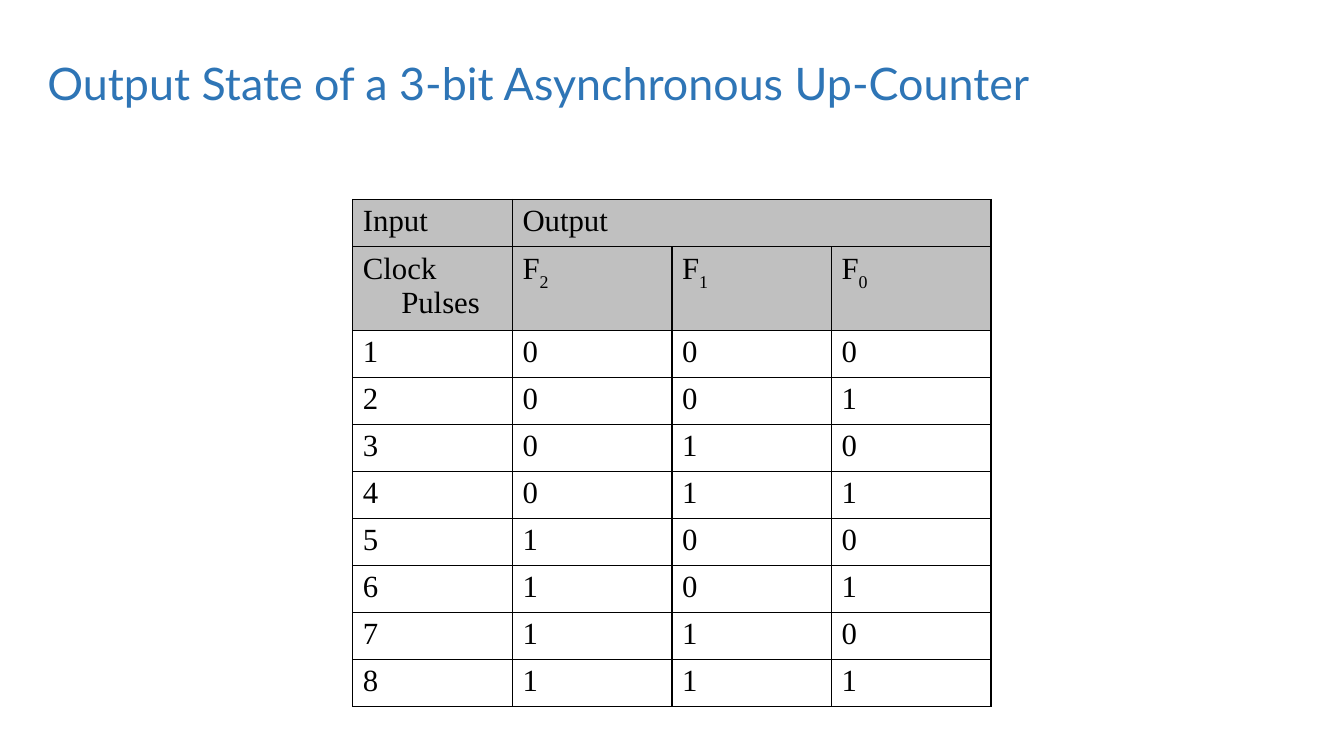
import pptx
import pptx.dml.color
import pptx.enum.text
import pptx.oxml
import pptx.oxml.ns
import pptx.util
from pptx.util import Inches

BLACK, HEADER_GREY, TITLE_BLUE = "000000", "C0C0C0", "2E75B6"
BITS = 3


def rgb(hex_colour):
    return pptx.dml.color.RGBColor.from_string(hex_colour)


def style_font(font, name, size, colour):
    font.name = name
    font.size = pptx.util.Pt(size)
    font.color.rgb = rgb(colour)


def add_title(slide, text, left, top, width, height):
    title = slide.shapes.title
    title.left, title.top = Inches(left), Inches(top)
    title.width, title.height = Inches(width), Inches(height)
    frame = title.text_frame
    frame.text = text
    frame.word_wrap = True
    frame.auto_size = pptx.enum.text.MSO_AUTO_SIZE.NONE
    frame.vertical_anchor = pptx.enum.text.MSO_ANCHOR.MIDDLE
    frame.paragraphs[0].alignment = pptx.enum.text.PP_ALIGN.LEFT
    style_font(frame.paragraphs[0].runs[0].font, "Lato", 32, TITLE_BLUE)


def add_borders(cell):
    properties = cell._tc.get_or_add_tcPr()
    for side in ("lnL", "lnR", "lnT", "lnB"):
        properties.append(pptx.oxml.parse_xml(
            f'<a:{side} {pptx.oxml.ns.nsdecls("a")} w="12700"><a:solidFill>'
            f'<a:srgbClr val="{BLACK}"/></a:solidFill></a:{side}>'))


def fill_cell(cell, text, subscript, is_header):
    # Borders come before the fill in the cell properties
    add_borders(cell)
    if is_header:
        cell.fill.solid()
        cell.fill.fore_color.rgb = rgb(HEADER_GREY)
    else:
        cell.fill.background()

    # Hanging indent: a wrapped second line starts further right
    paragraph = cell.text_frame.paragraphs[0]
    paragraph.text = text
    paragraph.alignment = pptx.enum.text.PP_ALIGN.JUSTIFY
    indent = paragraph._p.get_or_add_pPr()
    indent.set("marL", str(Inches(0.38)))
    indent.set("indent", str(Inches(-0.38)))
    if subscript:
        index = paragraph.add_run()
        index.text = subscript
        index._r.get_or_add_rPr().set("baseline", "-30000")
    for run in paragraph.runs:
        style_font(run.font, "Times New Roman", 22, BLACK)


def add_state_table(slide, left, top, width, height):
    # Each entry is a text and its subscript
    headers = [
        [("Input", ""), ("Output", "")] + [("", "")] * (BITS - 1),
        [("Clock Pulses", "")] + [("F", str(bit)) for bit in reversed(range(BITS))],
    ]
    states = [[(str(state + 1), "")] + [(bit, "") for bit in f"{state:0{BITS}b}"]
              for state in range(2 ** BITS)]
    rows = headers + states

    table = slide.shapes.add_table(
        len(rows), BITS + 1, Inches(left), Inches(top), Inches(width), Inches(height)).table
    table.first_row = table.horz_banding = False
    for column in table.columns:
        column.width = Inches(width / (BITS + 1))
    pulses_height = 0.83
    for number, row in enumerate(table.rows):
        row.height = Inches(pulses_height if number == 1
                            else (height - pulses_height) / (len(rows) - 1))

    for row_number, entries in enumerate(rows):
        for column_number, (text, subscript) in enumerate(entries):
            fill_cell(table.cell(row_number, column_number), text, subscript,
                      row_number < len(headers))
    table.cell(0, 1).merge(table.cell(0, BITS))


def main():
    presentation = pptx.Presentation()
    presentation.slide_width = Inches(13.33)
    presentation.slide_height = Inches(7.5)
    slide = presentation.slides.add_slide(presentation.slide_layouts[5])

    add_state_table(slide, 3.5, 1.98, 6.33, 5.03)
    add_title(slide, "Output State of a 3-bit Asynchronous Up-Counter",
              0.37, 0.5, 11.27, 0.64)
    presentation.save("out.pptx")


if __name__ == "__main__":
    main()
